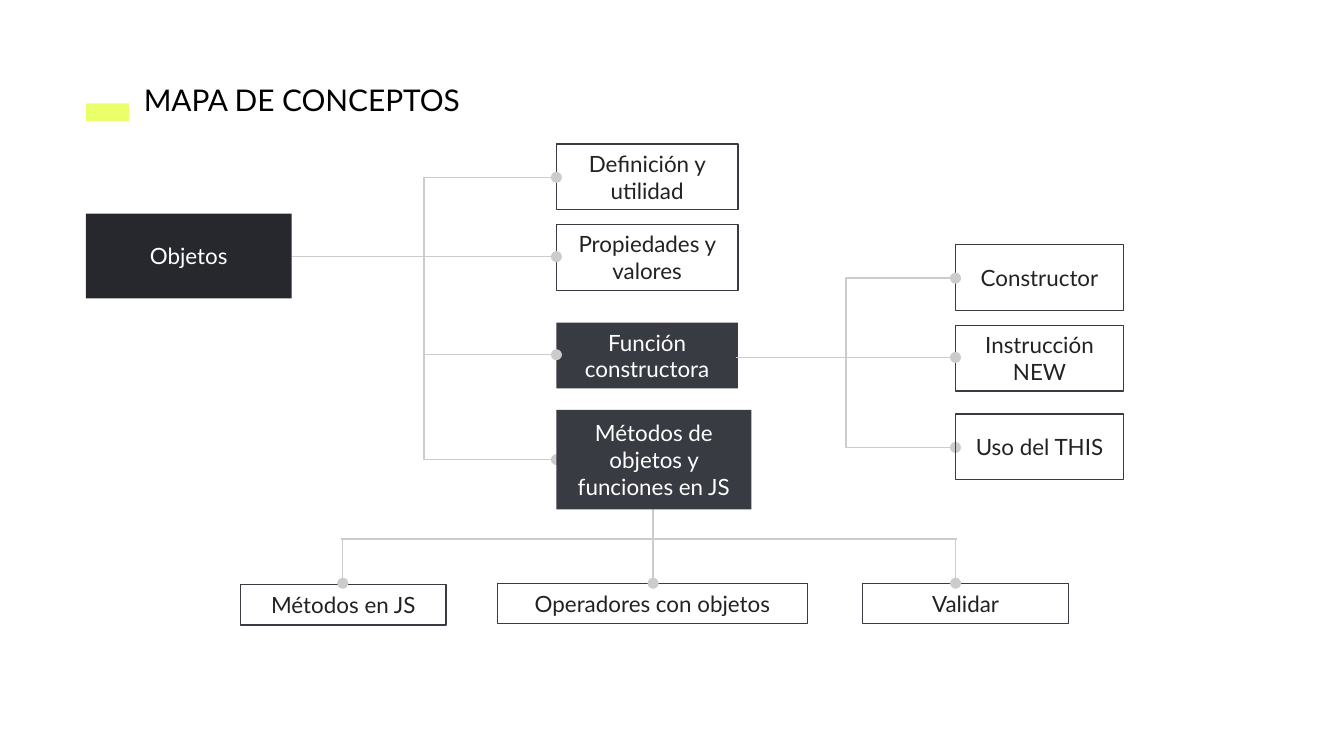
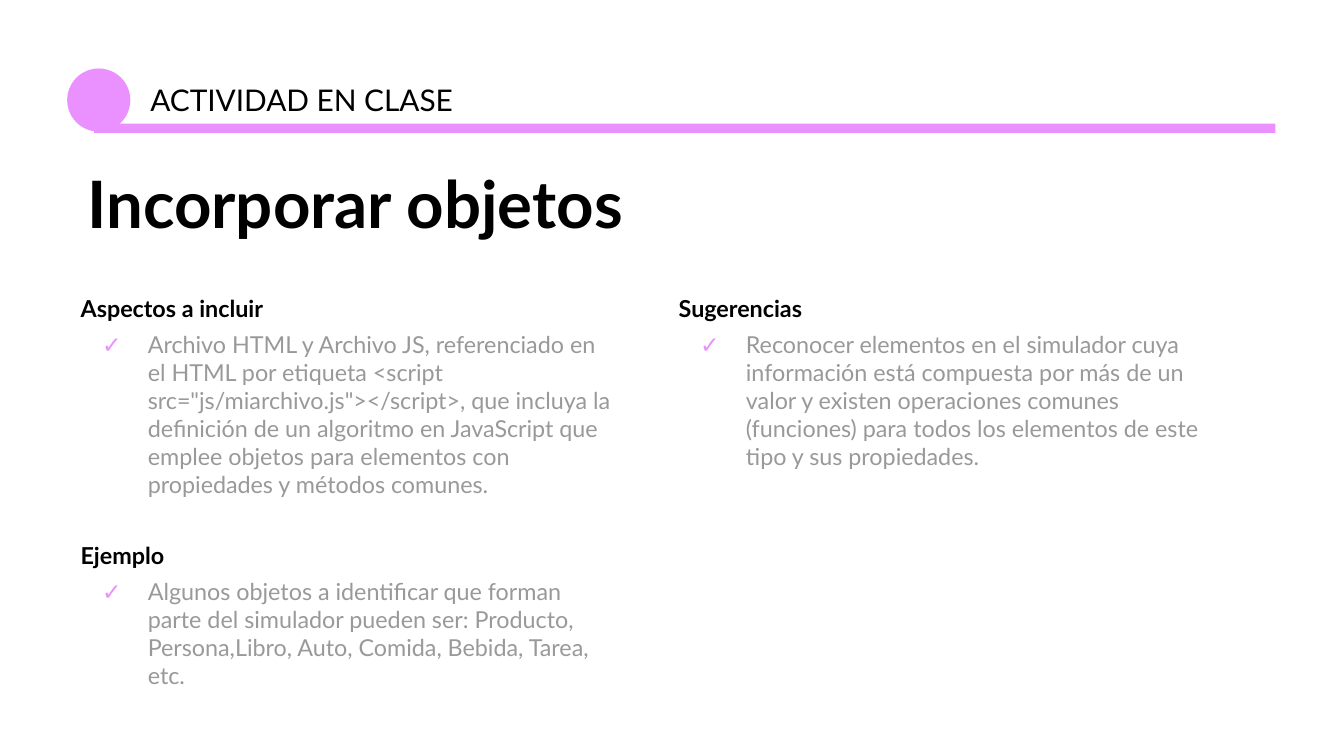
"""Build a concept map slide and a class activity slide about objects."""
from lxml.etree import SubElement
from pptx import Presentation
from pptx.dml.color import RGBColor
from pptx.enum.shapes import MSO_CONNECTOR as Line, MSO_SHAPE as Shape
from pptx.enum.text import MSO_ANCHOR as Anchor, MSO_AUTO_SIZE as Fit, PP_ALIGN as Align
from pptx.oxml.ns import qn
from pptx.util import Inches, Pt

hex_color = RGBColor.from_string
FONT = "Lato"
BLACK, WHITE, INK, GRAY = "000000", "FFFFFF", "222222", "999999"
LIME, PINK, NIGHT, SLATE, SILVER = "EAFF6A", "EA90FF", "27282D", "393B43", "CCCCCC"


def write(shape, entries, at=None, align=Align.LEFT, anchor=Anchor.TOP, leading=1.0):
    """Fill a shape with (text, size, colour, bold, space before, bulleted) entries."""
    if at:
        shape.left, shape.top, shape.width, shape.height = map(Inches, at)
    frame = shape.text_frame
    frame.margin_left = frame.margin_right = frame.margin_top = frame.margin_bottom = Inches(0.1)
    frame.word_wrap = True
    frame.vertical_anchor = anchor
    frame.auto_size = Fit.SHAPE_TO_FIT_TEXT if anchor == Anchor.TOP else Fit.NONE
    for index, (text, size, color, bold, before, bulleted) in enumerate(entries):
        paragraph = frame.add_paragraph() if index else frame.paragraphs[0]
        props = paragraph._p.get_or_add_pPr()
        props.set("marL", str(Inches(0.5) if bulleted else 0))
        props.set("indent", str(Inches(-0.34) if bulleted else 0))
        if bulleted:
            SubElement(SubElement(props, qn("a:buClr")), qn("a:srgbClr"), val=PINK)
            SubElement(props, qn("a:buFont"), typeface=FONT)
            SubElement(props, qn("a:buChar"), char="✓")
        else:
            SubElement(props, qn("a:buNone"))
        paragraph.alignment = align
        paragraph.line_spacing = leading
        paragraph.space_before = Pt(before)
        paragraph.space_after = Pt(0)
        run = paragraph.add_run()
        run.text = text
        run.font.name, run.font.size, run.font.bold = FONT, Pt(size), bold
        run.font.color.rgb = hex_color(color)


def add_block(slide, kind, at, fill=None, line=None, text=None, color=INK):
    """Add a flat shape, with a centred label when text is given."""
    block = slide.shapes.add_shape(kind, *map(Inches, at))
    block.shadow.inherit = False
    if fill:
        block.fill.solid()
        block.fill.fore_color.rgb = hex_color(fill)
    else:
        block.fill.background()
    if line:
        block.line.color.rgb = hex_color(line)
        block.line.width = Pt(0.75)
    else:
        block.line.fill.background()
    if text:
        write(block, [(text, 12, color, False, 0, False)], align=Align.CENTER, anchor=Anchor.MIDDLE)


deck = Presentation()
deck.slide_width = Inches(10)
deck.slide_height = deck.slide_width * 9 // 16

concept_map = deck.slides.add_slide(deck.slide_layouts[5])
write(concept_map.shapes.title, [("MAPA DE CONCEPTOS", 16, BLACK, False, 0, False)],
      (0.97, 0.51, 2.69, 0.47))
add_block(concept_map, Shape.RECTANGLE, (0.64, 0.77, 0.32, 0.13), LIME)

outlined, white_box = (None, SLATE, INK), (WHITE, SLATE, INK)
root_box, branch_box = (NIGHT, None, WHITE), (SLATE, None, WHITE)
back_concepts = [
    ("Definición y utilidad", (4.14, 1.07, 1.35, 0.49), outlined),
    ("Objetos", (0.64, 1.59, 1.53, 0.63), root_box),
    ("Métodos en JS", (1.79, 4.35, 1.53, 0.3), white_box),
    ("Operadores con objetos", (3.7, 4.34, 2.31, 0.3), white_box),
    ("Validar", (6.42, 4.34, 1.53, 0.3), white_box),
    ("Función constructora", (4.14, 2.4, 1.35, 0.49), branch_box),
    ("Propiedades y valores", (4.14, 1.67, 1.35, 0.49), outlined),
    ("Constructor", (7.11, 1.82, 1.25, 0.49), outlined),
    ("Instrucción NEW", (7.11, 2.42, 1.25, 0.49), outlined),
]
front_concepts = [
    ("Métodos de objetos y funciones en JS", (4.14, 3.05, 1.45, 0.74), branch_box),
    ("Uso del THIS", (7.11, 3.08, 1.25, 0.49), outlined),
]
for text, at, (fill, line, color) in back_concepts:
    add_block(concept_map, Shape.RECTANGLE, at, fill, line, text, color)

links = [(Line.ELBOW, 2.17, 1.91, 4.14, y, True) for y in (2.64, 1.32, 1.91, 3.42)]
links += [(Line.ELBOW, 5.48, 2.66, 7.11, y, True) for y in (3.33, 2.07, 2.66)]
links += [(Line.STRAIGHT, 4.86, 3.79, 4.86, 4.34, True),
          (Line.STRAIGHT, 2.54, 4.01, 7.12, 4.01, False)]
links += [(Line.STRAIGHT, x, 4.02, x, 4.34, True) for x in (2.55, 7.11)]
for kind, x1, y1, x2, y2, dotted in links:
    link = concept_map.shapes.add_connector(kind, *map(Inches, (x1, y1, x2, y2)))
    link.line.color.rgb = hex_color(SILVER)
    link.line.width = Pt(0.75)
    if dotted:
        SubElement(link.line._get_or_add_ln(), qn("a:tailEnd"), type="oval")
    SubElement(link._element.spPr, qn("a:effectLst"))

for text, at, (fill, line, color) in front_concepts:
    add_block(concept_map, Shape.RECTANGLE, at, fill, line, text, color)

activity = deck.slides.add_slide(deck.slide_layouts[3])
write(activity.shapes.title, [("Incorporar objetos", 35, BLACK, True, 0, False)],
      (0.55, 1.18, 7.99, 0.73), leading=0.9)
section = activity.shapes.add_textbox(*map(Inches, (1.02, 0.51, 2.69, 0.47)))
write(section, [("ACTIVIDAD EN CLASE", 16, BLACK, False, 0, False)])
add_block(activity, Shape.RECTANGLE, (0.7, 0.92, 8.79, 0.07), PINK)
add_block(activity, Shape.OVAL, (0.5, 0.51, 0.47, 0.47), PINK)

columns = [
    (1, (0.5, 2.09, 4.19, 3.18), [
        ("Aspectos a incluir",
         'Archivo HTML y Archivo JS, referenciado en el HTML por etiqueta <script '
         'src="js/miarchivo.js"></script>, que incluya la definición de un algoritmo en '
         'JavaScript que emplee objetos para elementos con propiedades y métodos comunes.'),
        ("Ejemplo",
         "Algunos objetos a identificar que forman parte del simulador pueden ser: Producto, "
         "Persona,Libro, Auto, Comida, Bebida, Tarea, etc."),
    ]),
    (2, (4.95, 2.09, 4.19, 1.53), [
        ("Sugerencias",
         "Reconocer elementos en el simulador cuya información está compuesta por más de un "
         "valor y existen operaciones comunes (funciones) para todos los elementos de este "
         "tipo y sus propiedades."),
    ]),
]
for holder, at, topics in columns:
    entries = []
    for heading, detail in topics:
        entries.append((heading, 12.5, BLACK, True, 23 if entries else 0, False))
        entries.append((detail, 12.5, GRAY, False, 4.4, True))
    write(activity.placeholders[holder], entries, at)

deck.save("out.pptx")
